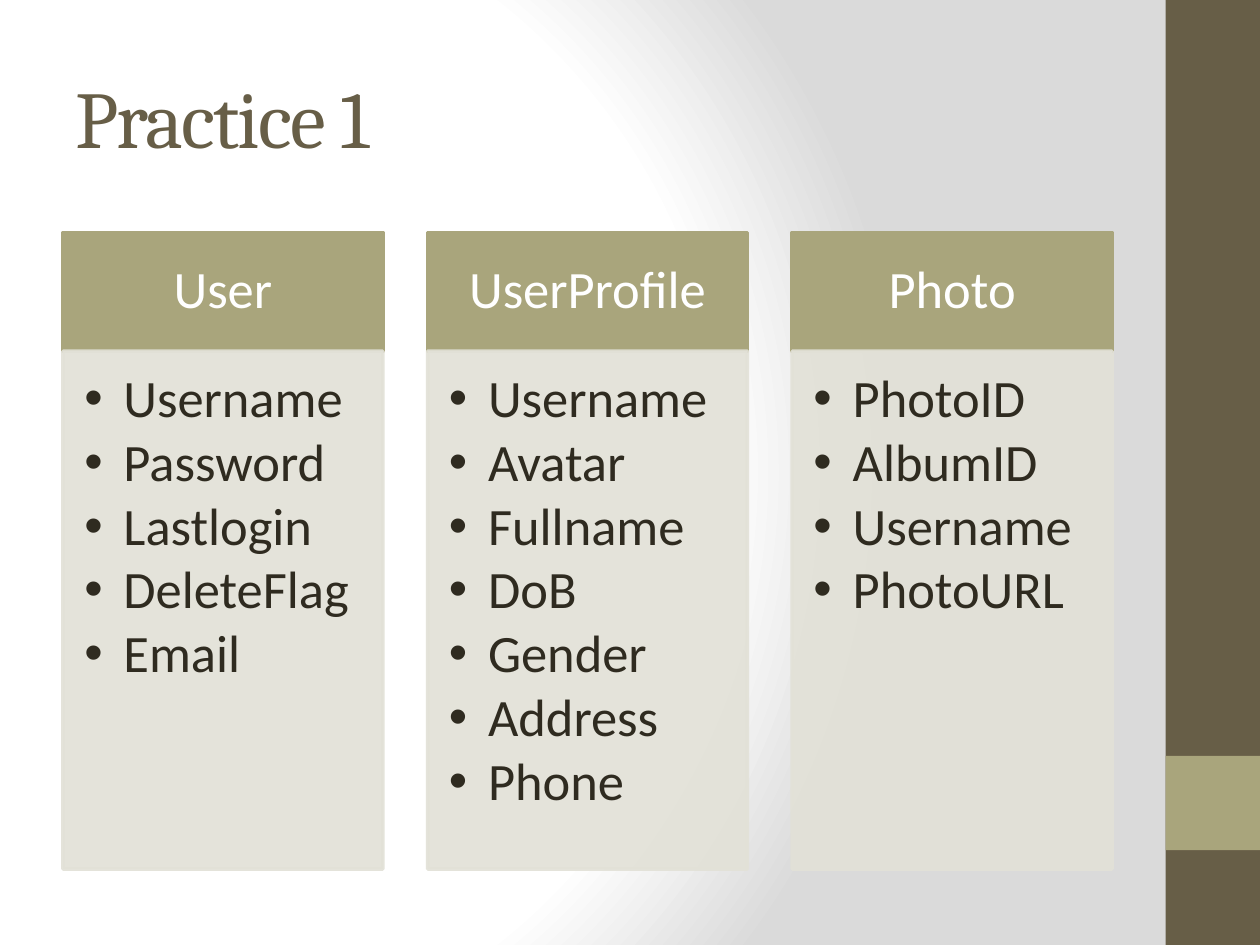
from dataclasses import dataclass

from lxml import etree
from pptx import Presentation
from pptx import util as u
from pptx.dml.color import RGBColor
from pptx.enum import shapes, text
from pptx.oxml import parse_xml
from pptx.oxml.ns import nsdecls, qn


@dataclass(frozen=True)
class Theme:
    brown: str = "675E47"
    olive: str = "A9A57C"
    panel: str = "E2E1D7"
    ink: str = "2F2B20"
    white: str = "FFFFFF"
    grey: str = "DADADA"
    heading: str = "Cambria"
    body: str = "Calibri"
    title_size: int = 46
    text_size: int = 30


class Deck:
    def __init__(self, theme):
        self.t = theme
        self.prs = Presentation()
        self.prs.slide_width, self.prs.slide_height = u.Cm(25.4), u.Cm(19.05)
        self.s = self.prs.slides.add_slide(self.prs.slide_layouts[6])

    def background(self):
        self.s.background.fill.solid()
        old = self.s.element.find(".//" + qn("p:bgPr")).find(qn("a:solidFill"))
        stops = ((0, self.t.white), (75, self.t.white), (100, self.t.grey))
        gs = "".join(f'<a:gs pos="{pos * 1000}"><a:srgbClr val="{c}"/></a:gs>'
                     for pos, c in stops)
        old.getparent().replace(old, parse_xml(
            f'<a:gradFill {nsdecls("a")} rotWithShape="1"><a:gsLst>{gs}</a:gsLst>'
            '<a:path path="circle"><a:fillToRect l="20000" t="50000" '
            'r="100000" b="50000"/></a:path></a:gradFill>'))

    def rect(self, box, color, line=0, alpha=100):
        sp = self.s.shapes.add_shape(shapes.MSO_SHAPE.RECTANGLE, *map(u.Cm, box))
        sp.shadow.inherit = False
        sp.fill.solid()
        sp.fill.fore_color.rgb = RGBColor.from_string(color)
        if line:
            sp.line.width = u.Pt(line)
            sp.line.color.rgb = RGBColor.from_string(color)
        else:
            sp.line.fill.background()
        if alpha < 100:
            for c in sp.element.spPr.iter(qn("a:srgbClr")):
                etree.SubElement(c, qn("a:alpha"), val=str(alpha * 1000))
        return sp

    def add_text(self, sp, lines, font, frame, para):
        tf = sp.text_frame
        for k, v in {"word_wrap": True, **frame}.items():
            setattr(tf, k, v)
        name, size, color = font
        for i, line in enumerate(lines):
            p = tf.paragraphs[0] if i == 0 else tf.add_paragraph()
            for k, v in para.items():
                setattr(p, k, v)
            r = p.add_run()
            r.text = line
            for k, v in {"name": name, "size": u.Pt(size)}.items():
                setattr(r.font, k, v)
            r.font.color.rgb = RGBColor.from_string(color)
        return tf

    def title(self, box, line):
        sp = self.s.shapes.add_textbox(*map(u.Cm, box))
        tf = self.add_text(sp, [line], (self.t.heading, self.t.title_size, self.t.brown),
                           {"vertical_anchor": text.MSO_ANCHOR.MIDDLE}, {})
        r = tf.paragraphs[0].runs[0]
        r._r.get_or_add_rPr().set("spc", "-100")

    def header(self, box, name):
        sp = self.rect(box, self.t.olive, line=2)
        frame = {"vertical_anchor": text.MSO_ANCHOR.MIDDLE,
                 "margin_left": u.Cm(0.58), "margin_right": u.Cm(0.58),
                 "margin_top": u.Cm(0.33), "margin_bottom": u.Cm(0.33)}
        self.add_text(sp, [name], (self.t.body, self.t.text_size, self.t.white), frame,
                      {"alignment": text.PP_ALIGN.CENTER, "line_spacing": 0.9})

    def bullets(self, box, lines):
        sp = self.rect(box, self.t.panel, line=2, alpha=90)
        frame = {"vertical_anchor": text.MSO_ANCHOR.TOP,
                 "margin_left": u.Cm(0.43), "margin_right": u.Cm(0.58),
                 "margin_top": u.Cm(0.43), "margin_bottom": u.Cm(0.66)}
        tf = self.add_text(sp, lines, (self.t.body, self.t.text_size, self.t.ink), frame,
                           {"alignment": text.PP_ALIGN.LEFT, "line_spacing": 0.9,
                            "space_after": u.Pt(4)})
        indent = u.Cm(0.79)
        for p in tf.paragraphs:
            pPr = p._p.get_or_add_pPr()
            pPr.set("marL", str(int(indent)))
            pPr.set("indent", str(-int(indent)))
            etree.SubElement(pPr, qn("a:buFont"), typeface="Arial")
            etree.SubElement(pPr, qn("a:buChar"), char="•")


ENTITIES = {
    "User": ["Username", "Password", "Lastlogin", "DeleteFlag", "Email"],
    "UserProfile": ["Username", "Avatar", "Fullname", "DoB", "Gender", "Address", "Phone"],
    "Photo": ["PhotoID", "AlbumID", "Username", "PhotoURL"],
}
LEFT, TOP, WIDTH, STEP = 1.27, 4.69, 6.45, 7.35
HEAD_H, BODY_H = 2.39, 10.44

theme = Theme()
deck = Deck(theme)
deck.background()
deck.rect((23.5, 0, 1.9, 19.05), theme.brown)
deck.rect((23.5, 15.24, 1.9, 1.9), theme.olive)
deck.title((1.27, 0.76, 21.16, 3.18), "Practice 1")
for i, (name, fields) in enumerate(ENTITIES.items()):
    x = LEFT + i * STEP
    deck.header((x, TOP, WIDTH, HEAD_H), name)
    deck.bullets((x, TOP + HEAD_H, WIDTH, BODY_H), fields)
deck.prs.save("out.pptx")
